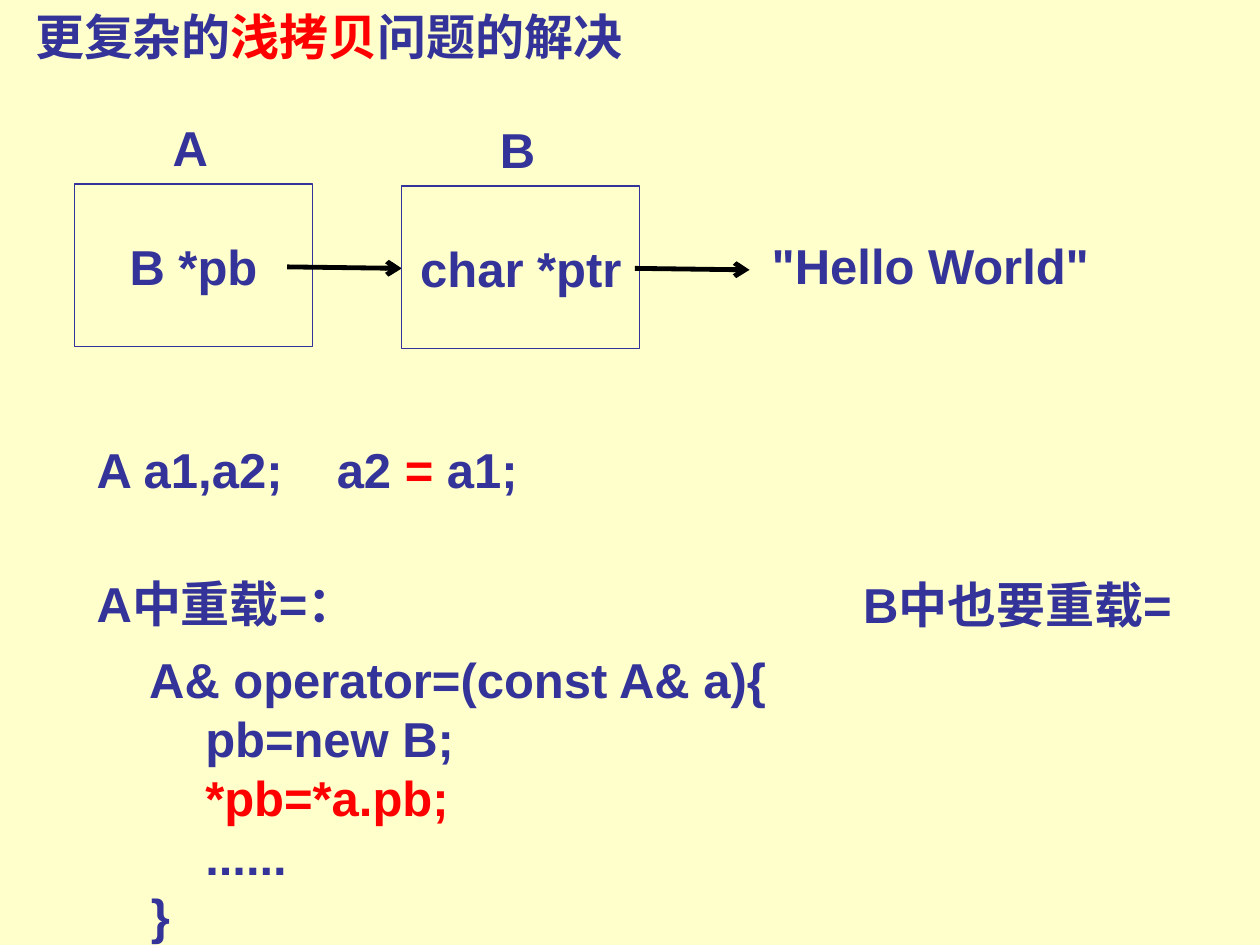
from lxml.etree import SubElement
from pptx import Presentation
from pptx.dml.color import RGBColor
from pptx.enum.shapes import MSO_CONNECTOR as CONN, MSO_SHAPE as SHAPE
from pptx.enum.text import MSO_AUTO_SIZE as AUTO, PP_ALIGN as ALIGN
from pptx.oxml.ns import qn
from pptx.util import Cm, Pt

CREAM = RGBColor(0xFF, 0xFF, 0xCC)
INDIGO = RGBColor(0x33, 0x33, 0x99)
RED = RGBColor(0xFF, 0x00, 0x00)
BLACK = RGBColor(0x00, 0x00, 0x00)


class Deck:
    font = {"name": "Arial", "size": Pt(28), "bold": True}
    frame = {
        "auto_size": AUTO.SHAPE_TO_FIT_TEXT,
        "margin_left": Cm(0.25),
        "margin_right": Cm(0.25),
        "margin_top": Cm(0.13),
        "margin_bottom": Cm(0.13),
    }

    def __init__(self, prs):
        self.s = prs.slides.add_slide(prs.slide_layouts[6])
        fill = self.s.background.fill
        fill.solid()
        fill.fore_color.rgb = CREAM

    def text(self, x, y, w, h, paragraphs, wrap=True, align=None, tab=None, gaps=()):
        sp = self.s.shapes.add_textbox(Cm(x), Cm(y), Cm(w), Cm(h))
        tf = sp.text_frame
        for name, value in {**self.frame, "word_wrap": wrap}.items():
            setattr(tf, name, value)
        for i, runs in enumerate(paragraphs):
            p = tf.add_paragraph() if i else tf.paragraphs[0]
            p.alignment = align
            if i in gaps:
                p.space_before = Pt(10)
            if tab:
                tabs = SubElement(p._p.get_or_add_pPr(), qn("a:tabLst"))
                SubElement(tabs, qn("a:tab"), pos=str(Cm(tab)), algn="l")
            for content, color in runs:
                r = p.add_run()
                r.text = content
                for name, value in self.font.items():
                    setattr(r.font, name, value)
                r.font.color.rgb = color

    def box(self, x, y, w, h):
        sp = self.s.shapes.add_shape(SHAPE.RECTANGLE, Cm(x), Cm(y), Cm(w), Cm(h))
        sp.shadow.inherit = False
        sp.fill.background()
        sp.line.color.rgb = INDIGO
        sp.line.width = Pt(0.75)

    def arrow(self, x, y, dx, dy):
        c = self.s.shapes.add_connector(
            CONN.STRAIGHT, Cm(x), Cm(y), Cm(x + dx), Cm(y + dy)
        )
        c.line.color.rgb = BLACK
        c.line.width = Pt(2.75)
        SubElement(c.line._get_or_add_ln(), qn("a:tailEnd"), type="arrow")
        SubElement(c._element.spPr, qn("a:effectLst"))

    def node(self, x, y, label, field, field_height):
        self.box(x, y, 4.8, 3.28)
        self.text(x + 1.73, y - 1.48, 1.18, 1.45, [[(label, INDIGO)]],
                  wrap=False, align=ALIGN.CENTER)
        self.text(x + 0.1, y + 0.93, 4.6, field_height, [[(field, INDIGO)]],
                  align=ALIGN.CENTER)


def main():
    prs = Presentation()
    prs.slide_width, prs.slide_height = Cm(25.4), Cm(19.05)
    deck = Deck(prs)

    deck.text(0.46, 0, 12.34, 1.45, [
        [("更复杂的", INDIGO), ("浅拷贝", RED), ("问题的解决", INDIGO)],
    ], wrap=False)

    deck.node(1.5, 3.71, "A", "B *pb", 1.45)
    deck.arrow(5.79, 5.38, 2.31, 0.03)
    deck.node(8.1, 3.75, "B", "char *ptr", 2.64)
    deck.arrow(12.8, 5.41, 2.31, 0.03)
    deck.text(14.6, 4.62, 8.31, 1.45, [[('"Hello World"', INDIGO)]],
              align=ALIGN.CENTER)

    deck.text(1.7, 8.74, 10.69, 1.45, [
        [("A a1,a2;\ta2 ", INDIGO), ("=", RED), (" a1;", INDIGO)],
    ], tab=4.84)

    deck.text(1.7, 11.43, 20.7, 7.72, [
        [("A中重载=：", INDIGO)],
        [("    A& operator=(const A& a){", INDIGO)],
        [("        pb=new B;", INDIGO)],
        [("        *pb=*a.pb;", RED)],
        [("        ......", INDIGO)],
        [("    }", INDIGO)],
    ], gaps=(1,))
    deck.text(17.15, 11.46, 7.39, 1.45, [[("B中也要重载=", INDIGO)]], wrap=False)

    prs.save("out.pptx")


if __name__ == "__main__":
    main()
